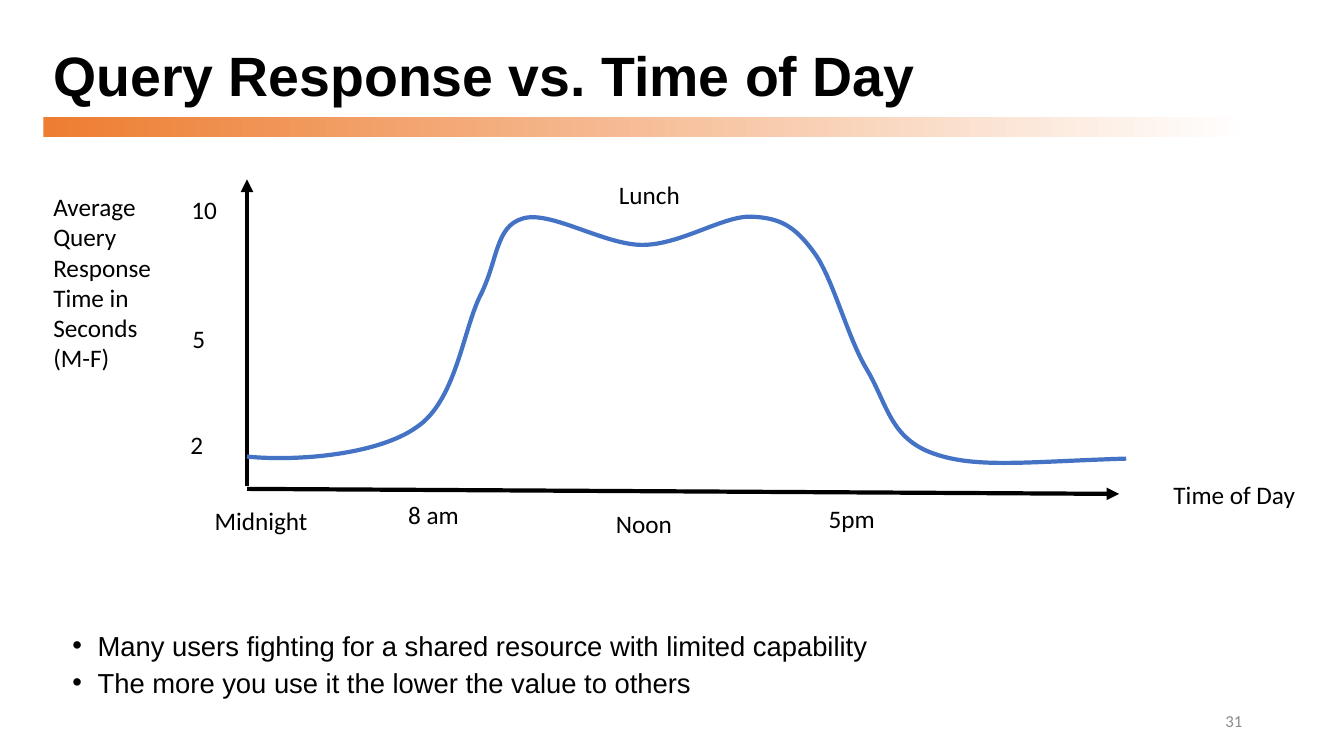
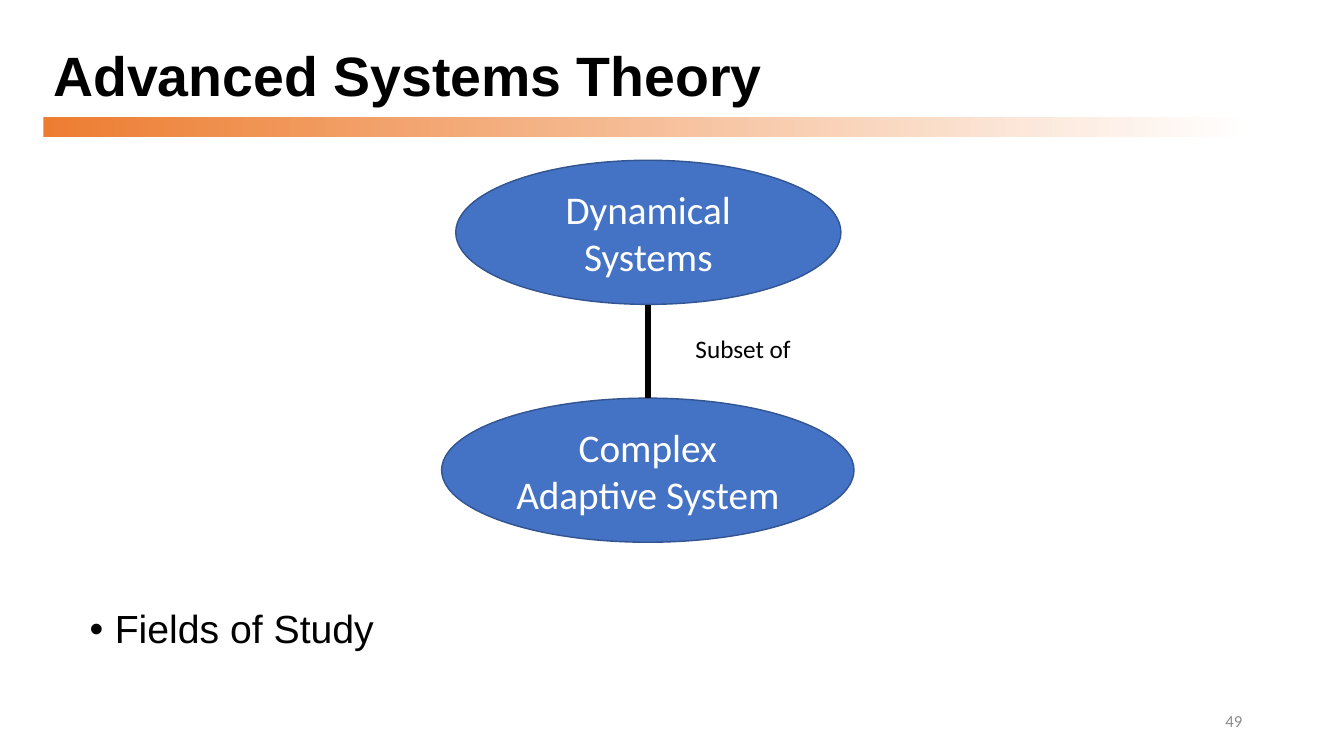
import dataclasses
import typing

import lxml.etree
import pptx
import pptx.dml.color
import pptx.enum.shapes
import pptx.enum.text
import pptx.oxml.ns
import pptx.shapes.autoshape
import pptx.slide
import pptx.text.text
import pptx.util

Inches = pptx.util.Inches
Pt = pptx.util.Pt
RGB = pptx.dml.color.RGBColor
Align = pptx.enum.text.PP_ALIGN
Anchor = pptx.enum.text.MSO_ANCHOR
AutoSize = pptx.enum.text.MSO_AUTO_SIZE
Shape = pptx.enum.shapes.MSO_SHAPE
qn = pptx.oxml.ns.qn

Point = tuple[float, float]
Box = tuple[float, float, float, float]


@dataclasses.dataclass(frozen=True)
class Theme:
    ink: RGB = RGB(0x00, 0x00, 0x00)
    paper: RGB = RGB(0xFF, 0xFF, 0xFF)
    band: RGB = RGB(0xED, 0x7D, 0x31)
    accent: RGB = RGB(0x44, 0x72, 0xC4)
    outline: RGB = RGB(0x32, 0x54, 0x91)
    muted: RGB = RGB(0x8C, 0x8C, 0x8C)
    heading_font: str = "Arial"
    label_font: str = "Calibri"
    title_size: float = 39.6
    large_size: float = 28
    bullet_size: float = 19.6
    label_size: float = 18
    number_size: float = 12
    curve_width: float = 3
    link_width: float = 4.5


THEME = Theme()
LEFT, WIDTH = 0.43, 11.98
LABEL_HEIGHT = 0.4


@dataclasses.dataclass(frozen=True)
class Label:
    text: str
    left: float
    top: float
    width: float
    height: float = LABEL_HEIGHT


@dataclasses.dataclass(frozen=True)
class System:
    name: str
    box: Box


@dataclasses.dataclass(frozen=True)
class Bend:
    """One cubic stretch of a curve: two handles and the end."""
    first: Point
    second: Point
    end: Point


# Text
def write(frame: pptx.text.text.TextFrame, text: str, *, size: float,
          font: str = THEME.label_font, color: RGB = THEME.ink,
          bold: bool = False, align: Align = Align.LEFT,
          anchor: Anchor = Anchor.TOP, wrap: bool = True, grow: bool = False,
          line_spacing: typing.Optional[float] = None,
          space_before: float = 0, bullet: bool = False) -> None:
    r"""Fill a frame: \n starts a paragraph, \v breaks a line."""
    frame.word_wrap = wrap
    frame.vertical_anchor = anchor
    frame.auto_size = AutoSize.SHAPE_TO_FIT_TEXT if grow else AutoSize.NONE
    frame.text = text
    for paragraph in frame.paragraphs:
        paragraph.alignment = align
        paragraph.line_spacing = line_spacing
        paragraph.space_before = Pt(space_before)
        for run in paragraph.runs:
            run.font.name = font
            run.font.size = Pt(size)
            run.font.bold = bold
            run.font.color.rgb = color
        if bullet:
            properties = paragraph._p.get_or_add_pPr()
            properties.set("marL", str(Inches(0.25)))
            properties.set("indent", str(-Inches(0.25)))
            lxml.etree.SubElement(properties, qn("a:buFont"), typeface="Arial")
            lxml.etree.SubElement(properties, qn("a:buChar"), char="•")


def add_text(slide: pptx.slide.Slide, box: Box, text: str,
             **style: typing.Any) -> None:
    frame = slide.shapes.add_textbox(*map(Inches, box)).text_frame
    write(frame, text, **style)


def add_label(slide: pptx.slide.Slide, label: Label) -> None:
    add_text(slide, (label.left, label.top, label.width, label.height),
             label.text, size=THEME.label_size, wrap=False, grow=True)


def add_bullets(slide: pptx.slide.Slide, box: Box, text: str, size: float,
                line_spacing: float) -> None:
    add_text(slide, box, text, size=size, font=THEME.heading_font,
             line_spacing=line_spacing, space_before=10, bullet=True)


# Shapes and lines
def add_plain_shape(slide: pptx.slide.Slide, kind: Shape,
                    box: Box) -> pptx.shapes.autoshape.Shape:
    shape = slide.shapes.add_shape(kind, *map(Inches, box))
    shape.shadow.inherit = False
    return shape


def add_line(slide: pptx.slide.Slide, start: Point, end: Point, width: float,
             arrow: bool = False) -> None:
    line = slide.shapes.add_connector(
        pptx.enum.shapes.MSO_CONNECTOR.STRAIGHT, *map(Inches, start + end))
    line.line.color.rgb = THEME.ink
    line.line.width = Pt(width)
    properties = line.element.spPr
    if arrow:
        lxml.etree.SubElement(properties.find(qn("a:ln")), qn("a:tailEnd"),
                              type="triangle")
    lxml.etree.SubElement(properties, qn("a:effectLst"))


def add_curve(slide: pptx.slide.Slide, start: Point, bends: list[Bend],
              height: float) -> None:
    """Draw an open outline and bend each of its segments."""
    builder = slide.shapes.build_freeform(*map(Inches, start))
    builder.add_line_segments([tuple(map(Inches, bend.end)) for bend in bends],
                              close=False)
    curve = builder.convert_to_shape()
    curve.shadow.inherit = False
    curve.fill.background()
    curve.line.color.rgb = THEME.accent
    curve.line.width = Pt(THEME.curve_width)

    # The lowest stretch dips below the segment ends
    curve.height = Inches(height)
    outline = next(curve.element.iter(qn("a:path")))
    outline.set("h", str(Inches(height)))
    for segment, bend in zip(outline.findall(qn("a:lnTo")), bends):
        cubic = lxml.etree.Element(qn("a:cubicBezTo"))
        for x, y in (bend.first, bend.second, bend.end):
            lxml.etree.SubElement(cubic, qn("a:pt"),
                                  x=str(Inches(x) - curve.left),
                                  y=str(Inches(y) - curve.top))
        outline.replace(segment, cubic)


def add_system(slide: pptx.slide.Slide, system: System) -> None:
    oval = add_plain_shape(slide, Shape.OVAL, system.box)
    oval.fill.solid()
    oval.fill.fore_color.rgb = THEME.accent
    oval.line.color.rgb = THEME.outline
    oval.line.width = Pt(1)
    write(oval.text_frame, system.name, size=THEME.large_size,
          color=THEME.paper, align=Align.CENTER, anchor=Anchor.MIDDLE)


# Frame shared by the slides
def add_slide(deck: typing.Any, title: str, number: int) -> pptx.slide.Slide:
    slide = deck.slides.add_slide(deck.slide_layouts[6])
    band = add_plain_shape(slide, Shape.RECTANGLE, (LEFT, 1.16, WIDTH, 0.2))
    band.line.fill.background()
    band.fill.gradient()
    band.fill.gradient_angle = 0
    for stop, color in zip(band.fill.gradient_stops, (THEME.band, THEME.paper)):
        stop.color.rgb = color
    add_text(slide, (LEFT, 0.4, WIDTH, 0.76), title, size=THEME.title_size,
             font=THEME.heading_font, bold=True, anchor=Anchor.MIDDLE,
             line_spacing=0.9)
    add_text(slide, (9.42, 6.95, 3, 0.4), str(number), size=THEME.number_size,
             color=THEME.muted, align=Align.RIGHT, anchor=Anchor.MIDDLE)
    return slide


# Query response over the day
RESPONSE_LABELS = [
    Label("Average\nQuery\vResponse\vTime in\nSeconds\n(M-F)",
          LEFT, 1.85, 1.18, 1.92),
    Label("Time of Day", 11.54, 4.71, 1.42),
    Label("Noon", 6.01, 4.99, 0.76),
    Label("8 am", 3.95, 4.9, 0.71),
    Label("5pm", 8.12, 4.94, 0.66),
    Label("Midnight", 2.03, 4.96, 1.13),
    Label("5", 1.81, 3.16, 0.33),
    Label("10", 1.8, 1.88, 0.46),
    Label("2", 1.79, 4.21, 0.33),
    Label("Lunch", 6.04, 1.73, 0.82),
]
MIDNIGHT = (2.45, 4.53)
RESPONSE_BENDS = [
    Bend((2.95, 4.58), (3.75, 4.51), (4.13, 4.24)),
    Bend((4.52, 3.98), (4.59, 3.29), (4.76, 2.94)),
    Bend((4.94, 2.59), (4.91, 2.25), (5.18, 2.17)),
    Bend((5.45, 2.08), (5.99, 2.43), (6.37, 2.43)),
    Bend((6.75, 2.43), (7.17, 2.14), (7.45, 2.15)),
    Bend((7.73, 2.16), (7.88, 2.24), (8.07, 2.5)),
    Bend((8.26, 2.75), (8.4, 3.34), (8.6, 3.67)),
    Bend((8.8, 4.01), (8.83, 4.35), (9.26, 4.5)),
    Bend((9.68, 4.65), (10.2, 4.58), (11.17, 4.55)),
]


def build_response(deck: typing.Any) -> None:
    slide = add_slide(deck, "Query Response vs. Time of Day", 31)
    add_bullets(slide, (0.62, 6.28, 9.16, 0.76),
                "Many users fighting for a shared resource with limited "
                "capability\nThe more you use it the lower the value to others",
                THEME.bullet_size, 0.7)
    add_line(slide, (2.45, 4.82), (2.45, 1.78), THEME.curve_width, arrow=True)
    add_line(slide, (2.45, 4.85), (11.1, 4.9), THEME.curve_width, arrow=True)
    add_curve(slide, MIDNIGHT, RESPONSE_BENDS, height=2.44)
    for label in RESPONSE_LABELS:
        add_label(slide, label)


# Systems and their subset
SYSTEMS = [
    System("Dynamical Systems", (4.52, 1.59, 3.82, 1.43)),
    System("Complex Adaptive System", (4.38, 3.95, 4.09, 1.43)),
]


def build_systems(deck: typing.Any) -> None:
    slide = add_slide(deck, "Advanced Systems Theory", 49)
    add_bullets(slide, (0.79, 6, 11.62, 0.76), "Fields of Study",
                THEME.large_size, 0.9)
    for system in SYSTEMS:
        add_system(slide, system)
    add_line(slide, (6.43, 3.03), (6.43, 3.95), THEME.link_width)
    add_label(slide, Label("Subset of", 6.8, 3.26, 1.16))


presentation = pptx.Presentation()
presentation.slide_width = Inches(13.33)
presentation.slide_height = Inches(7.5)
build_response(presentation)
build_systems(presentation)
presentation.save("out.pptx")
